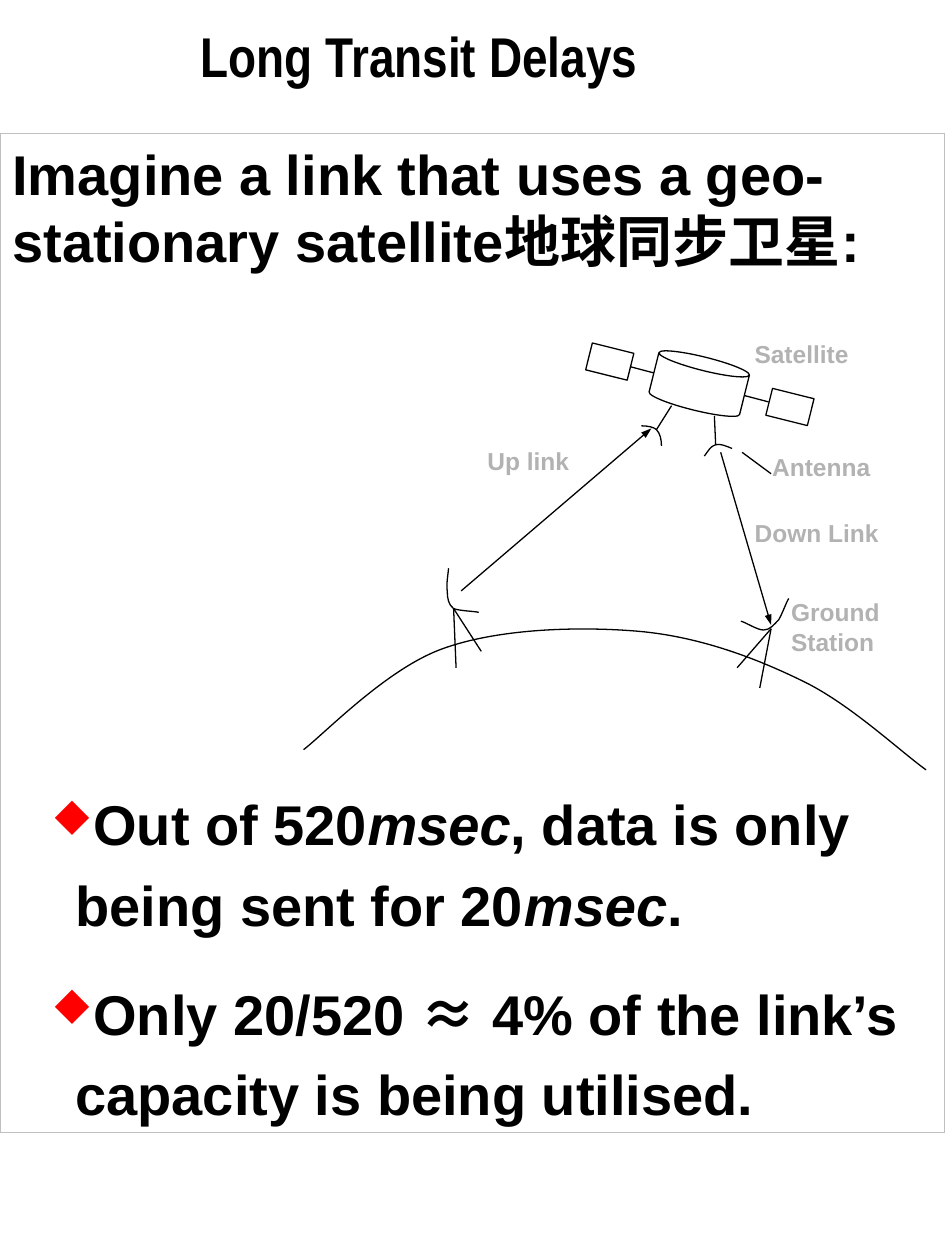
"""Build a slide on the long transit delays of a geostationary satellite link."""
from lxml import etree
from pptx import Presentation
from pptx.dml.color import RGBColor
from pptx.enum import shapes, text
from pptx.oxml.ns import qn
from pptx.util import Inches, Pt

COLORS = {"ink": "000000", "label": "B2B2B2", "border": "C0C0C0", "paper": "FFFFFF", "bullet": "FF0000"}
FONT, TITLE_FONT, SYMBOL_FONT = "Arial", "Arial Narrow", "Noto Sans CJK SC"
TITLE = "Long Transit Delays"
INTRO = "Imagine a link that uses a geo-stationary satellite地球同步卫星:"
BULLETS = [
    [("Out of 520", ""), ("msec", "italic"), (", data is only being sent for 20", ""),
     ("msec", "italic"), (".", "")],
    [("Only 20/520 ", ""), ("≈", "symbol"), (" 4% of the link’s capacity is being utilised.", "")],
]
DIAGRAM_GAP = 287
TILT = 14
SATELLITE_PARTS = [
    ("CAN", 5.18, 2.83, 0.74, 0.43),
    ("RECTANGLE", 4.67, 2.76, 0.34, 0.22),
    ("RECTANGLE", 6.1, 3.12, 0.34, 0.22),
]
STRUTS = [
    (5, 2.91, 5.19, 2.96), (5.91, 3.14, 6.1, 3.19),
    (5.33, 3.22, 5.21, 3.41), (5.67, 3.3, 5.68, 3.53),
    (3.62, 5.3, 3.6, 4.83), (3.6, 4.83, 3.82, 5.17),
    (6.03, 5.46, 6.12, 4.99), (6.12, 4.99, 5.85, 5.3),
    (6.12, 3.76, 5.89, 3.59),
]
SIGNALS = [(3.66, 4.69, 5.17, 3.4), (5.72, 3.59, 6.12, 4.96)]
CURVES = {
    "uplink antenna": [(5.09, 3.38), (5.14, 3.38), (5.19, 3.39), (5.21, 3.41),
                       (5.24, 3.44), (5.25, 3.49), (5.25, 3.54)],
    "downlink antenna": [(5.81, 3.56), (5.76, 3.54), (5.72, 3.52), (5.68, 3.53),
                         (5.64, 3.54), (5.62, 3.58), (5.59, 3.62)],
    "earth": [(2.41, 5.95), (2.59, 5.81), (3.07, 5.31), (3.51, 5.15), (3.95, 4.99),
              (4.58, 4.97), (5.06, 5.01), (5.53, 5.05), (5.97, 5.21), (6.36, 5.4),
              (6.74, 5.58), (7.14, 5.96), (7.35, 6.11)],
    "left dish": [(3.56, 4.51), (3.56, 4.54), (3.54, 4.64), (3.55, 4.69), (3.55, 4.75),
                  (3.56, 4.8), (3.6, 4.83), (3.65, 4.85), (3.76, 4.85), (3.8, 4.86)],
    "right dish": [(6.26, 4.75), (6.24, 4.78), (6.21, 4.87), (6.18, 4.92), (6.14, 4.96),
                   (6.11, 5), (6.06, 5), (6.01, 5), (5.92, 4.94), (5.88, 4.93)],
}
LABELS = [
    ("Satellite", 5.89, 2.64, 1.03, 0.56),
    ("Antenna", 6.03, 3.54, 1.03, 0.56),
    ("Up link", 3.77, 3.49, 1.03, 0.56),
    ("Down Link", 5.89, 4.06, 1.32, 0.56),
    ("Ground Station", 6.18, 4.69, 1.32, 0.87),
]


def rgb(name):
    return RGBColor.from_string(COLORS[name])


def set_font(font, size, color="ink", name=FONT):
    font.name, font.size, font.bold = name, Pt(size), True
    font.color.rgb = rgb(color)


def style_shape(shape, line="ink", width=0.75, fill=None):
    shape.shadow.inherit = False
    shape.line.color.rgb, shape.line.width = rgb(line), Pt(width)
    if fill:
        shape.fill.solid()
        shape.fill.fore_color.rgb = rgb(fill)
    else:
        shape.fill.background()


def add_line(slide, ends, arrow=False):
    line = slide.shapes.add_connector(shapes.MSO_CONNECTOR.STRAIGHT, *map(Inches, ends))
    line.line.color.rgb, line.line.width = rgb("ink"), Pt(0.75)
    if arrow:
        etree.SubElement(line.line._get_or_add_ln(), qn("a:tailEnd"), type="triangle", w="sm", len="med")
    etree.SubElement(line._element.spPr, qn("a:effectLst"))


def add_curve(slide, controls):
    points = [(Inches(x), Inches(y)) for x, y in controls]
    builder = slide.shapes.build_freeform(*points[0], scale=1.0)
    builder.add_line_segments(points[1:], close=False)
    curve = builder.convert_to_shape()
    style_shape(curve)
    outline = next(curve._element.iter(qn("a:path")))
    segments = outline.findall(qn("a:lnTo"))
    for first in range(0, len(segments), 3):
        bezier = etree.SubElement(outline, qn("a:cubicBezTo"))
        for segment in segments[first:first + 3]:
            bezier.append(segment[0])
            outline.remove(segment)


def add_text(slide, words, place, size, color="ink", font=FONT, wrap=True):
    box = slide.shapes.add_textbox(*map(Inches, place))
    box.text_frame.word_wrap = wrap
    paragraph = box.text_frame.paragraphs[0]
    paragraph.text = words
    set_font(paragraph.font, size, color, font)
    return paragraph


def add_bullet(frame, runs, space_before):
    paragraph = frame.add_paragraph()
    properties = paragraph._p.get_or_add_pPr()
    properties.set("marL", str(Inches(0.5)))
    properties.set("indent", str(Inches(-0.19)))
    paragraph.line_spacing = 1.2
    paragraph.space_before, paragraph.space_after = Pt(space_before), Pt(8)
    color = etree.SubElement(properties, qn("a:buClr"))
    etree.SubElement(color, qn("a:srgbClr"), val=COLORS["bullet"])
    etree.SubElement(properties, qn("a:buSzPct"), val="75000")
    etree.SubElement(properties, qn("a:buFont"), typeface="Wingdings", charset="2")
    etree.SubElement(properties, qn("a:buChar"), char="u")
    paragraph.alignment = text.PP_ALIGN.LEFT
    set_font(paragraph.font, 32)
    for words, style in runs:
        run = paragraph.add_run()
        run.text = words
        if style == "italic":
            run.font.italic = True
        elif style == "symbol":
            run.font.name = SYMBOL_FONT


def add_body(slide):
    body = slide.shapes.add_shape(shapes.MSO_SHAPE.RECTANGLE, *map(Inches, (0, 1.06, 7.5, 7.93)))
    style_shape(body, "border", 1)
    frame = body.text_frame
    frame.word_wrap, frame.vertical_anchor = True, text.MSO_ANCHOR.TOP
    intro = frame.paragraphs[0]
    intro.text, intro.alignment = INTRO, text.PP_ALIGN.LEFT
    set_font(intro.font, 32)
    for index, runs in enumerate(BULLETS):
        add_bullet(frame, runs, 8 if index else DIAGRAM_GAP)


def main():
    presentation = Presentation()
    presentation.slide_width, presentation.slide_height = Inches(7.5), Inches(10)
    slide = presentation.slides.add_slide(presentation.slide_layouts[6])
    add_body(slide)
    title = add_text(slide, TITLE, (1.47, 0.12, 3.69, 0.64), 32, font=TITLE_FONT, wrap=False)
    title.alignment = text.PP_ALIGN.RIGHT
    for kind, *place in SATELLITE_PARTS:
        part = slide.shapes.add_shape(shapes.MSO_SHAPE[kind], *map(Inches, place))
        style_shape(part, fill="paper")
        part.rotation = TILT
    for ends in STRUTS:
        add_line(slide, ends)
    for controls in CURVES.values():
        add_curve(slide, controls)
    for ends in SIGNALS:
        add_line(slide, ends, arrow=True)
    for words, *place in LABELS:
        add_text(slide, words, place, 14, "label")
    presentation.save("out.pptx")


if __name__ == "__main__":
    main()
